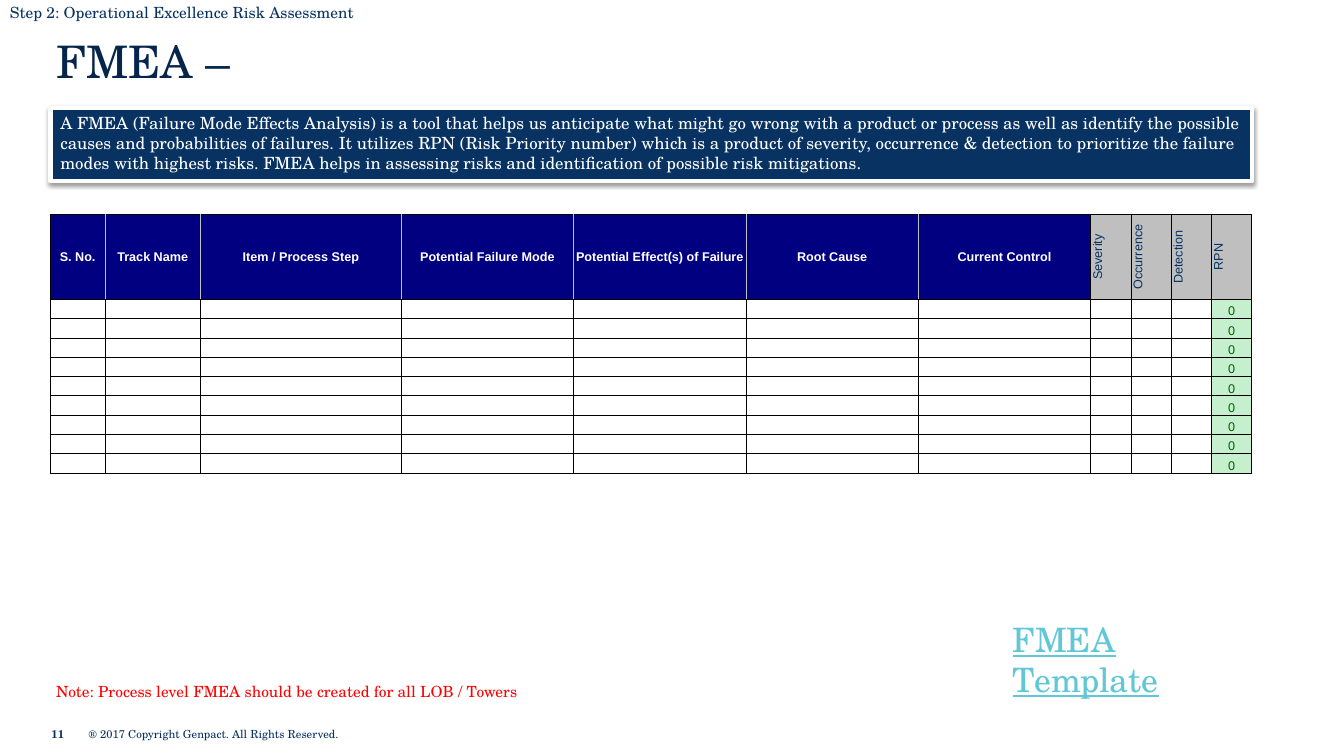
from dataclasses import dataclass

from lxml import etree
from pptx import Presentation
from pptx import util as u
from pptx.dml.color import RGBColor
from pptx.enum import shapes, text
from pptx.oxml import ns, parse_xml


@dataclass(frozen=True)
class Theme:
    serif: str = "TeX Gyre Schola"
    sans: str = "Arial"
    navy: str = "073262"
    title: str = "05254A"
    link: str = "60C7D7"
    alert: str = "FF0000"
    white: str = "FFFFFF"
    black: str = "000000"
    header: str = "000080"
    grey: str = "BFBFBF"
    score_fill: str = "C6EFCE"
    score_text: str = "006100"
    footer_size: int = 8
    table_size: int = 9
    note_size: int = 11
    banner_size: int = 12
    link_size: int = 24
    title_size: int = 32


class SlideBuilder:
    columns, rows = 160, 90

    def __init__(self, presentation, theme):
        self.theme = theme
        self.slide = presentation.slides.add_slide(presentation.slide_layouts[6])
        self.column = presentation.slide_width / self.columns
        self.row = presentation.slide_height / self.rows

    def place(self, left, top, width, height):
        return (round(left * self.column), round(top * self.row),
                round(width * self.column), round(height * self.row))

    def add_words(self, paragraph, words, size, color, font=None, bold=False, underline=False):
        run = paragraph.add_run()
        run.text = words
        run.font.name = font or self.theme.serif
        run.font.size = u.Pt(size)
        run.font.bold = bold
        run.font.underline = underline
        run.font.color.rgb = RGBColor.from_string(color)

    def label(self, box, words, size, color, centered=False, **style):
        frame = self.slide.shapes.add_textbox(*self.place(*box)).text_frame
        frame.word_wrap = True
        if centered:
            frame.vertical_anchor = text.MSO_ANCHOR.MIDDLE
            frame.margin_left = frame.margin_right = frame.margin_top = frame.margin_bottom = 0
        self.add_words(frame.paragraphs[0], words, size, color, **style)

    def banner(self, box, words):
        shape = self.slide.shapes.add_shape(shapes.MSO_SHAPE.RECTANGLE, *self.place(*box))
        shape.shadow.inherit = False
        shape.fill.solid()
        shape.fill.fore_color.rgb = RGBColor.from_string(self.theme.navy)
        shape.line.color.rgb = RGBColor.from_string(self.theme.white)
        shape.line.width = u.Pt(3)
        effects = shape._element.spPr.find(ns.qn("a:effectLst"))
        effects.append(parse_xml(
            f'<a:outerShdw {ns.nsdecls("a")} blurRad="{u.Pt(3.1)}" dist="{u.Pt(1.6)}" '
            f'dir="5400000" rotWithShape="0"><a:srgbClr val="{self.theme.black}">'
            '<a:alpha val="38000"/></a:srgbClr></a:outerShdw>'))
        frame = shape.text_frame
        frame.word_wrap = True
        frame.vertical_anchor = text.MSO_ANCHOR.TOP
        paragraph = frame.paragraphs[0]
        paragraph.alignment = text.PP_ALIGN.LEFT
        self.add_words(paragraph, words, self.theme.banner_size, self.theme.white)

    def table(self, left, top, widths, heights):
        box = self.place(left, top, sum(widths), sum(heights))
        table = self.slide.shapes.add_table(len(heights), len(widths), *box).table
        table.first_row = table.horz_banding = False
        for column, width in zip(table.columns, widths):
            column.width = round(width * self.column)
        for row, height in zip(table.rows, heights):
            row.height = round(height * self.row)
        return table

    def cell(self, cell, fill, words="", color=None, bold=False, anchor=text.MSO_ANCHOR.MIDDLE,
             left=None, right=None, vertical=False):
        theme = self.theme
        cell.margin_left = cell.margin_right = cell.margin_top = cell.margin_bottom = 0
        cell.vertical_anchor = anchor
        cell.fill.solid()
        cell.fill.fore_color.rgb = RGBColor.from_string(fill)
        properties = cell._tc.get_or_add_tcPr()
        if vertical:
            properties.set("vert", "vert270")
        sides = {"lnL": left, "lnR": right, "lnT": None, "lnB": None}
        for index, (side, border) in enumerate(sides.items()):
            properties.insert(index, parse_xml(
                f'<a:{side} {ns.nsdecls("a")} w="{u.Pt(0.5)}"><a:solidFill>'
                f'<a:srgbClr val="{border or theme.black}"/></a:solidFill></a:{side}>'))
        paragraph = cell.text_frame.paragraphs[0]
        paragraph.alignment = text.PP_ALIGN.CENTER
        if words:
            self.add_words(paragraph, words, theme.table_size, color, theme.sans, bold)
        else:
            etree.SubElement(paragraph._p, ns.qn("a:endParaRPr"), sz=str(theme.table_size * 100))


def add_fmea_table(builder):
    theme = builder.theme
    headings = ["S. No.", "Track Name", "Item / Process Step", "Potential Failure Mode",
                "Potential Effect(s) of Failure", "Root Cause", "Current Control"]
    ratings = ["Severity", "Occurrence", "Detection", "RPN"]
    widths = [6.48, 11.4, 23.88] + [20.52] * 4 + [4.8] * len(ratings)
    table = builder.table(6, 25.56, widths, [10.08] + [2.3] * 9)
    last_heading = len(headings) - 1
    for index, heading in enumerate(headings):
        builder.cell(table.cell(0, index), theme.header, heading, theme.white, bold=True,
                     left=theme.grey if index else None,
                     right=theme.grey if index < last_heading else None)
    for index, rating in enumerate(ratings, len(headings)):
        builder.cell(table.cell(0, index), theme.grey, rating, theme.navy, vertical=True)
    for row in range(1, len(table.rows)):
        for index in range(len(widths) - 1):
            builder.cell(table.cell(row, index), theme.white)
        builder.cell(table.cell(row, len(widths) - 1), theme.score_fill, "0", theme.score_text,
                     anchor=text.MSO_ANCHOR.BOTTOM)


def main():
    presentation = Presentation()
    presentation.slide_width = u.Inches(13.33)
    presentation.slide_height = u.Inches(7.5)
    theme = Theme()
    builder = SlideBuilder(presentation, theme)
    builder.label((6.12, 85.92, 4.4, 2.88), "11", theme.footer_size, theme.navy,
                  centered=True, bold=True)
    builder.label((10.56, 85.92, 31, 2.88), "® 2017 Copyright Genpact. All Rights Reserved.",
                  theme.footer_size, theme.navy, centered=True)
    builder.label((119.4, 73.08, 32.4, 6), "FMEA Template", theme.link_size, theme.link,
                  underline=True)
    builder.label((5.52, 3.48, 129.36, 7.68), "FMEA –", theme.title_size, theme.title)
    builder.banner(
        (6, 12.84, 143.04, 8.76),
        "A FMEA (Failure Mode Effects Analysis) is a tool that helps us anticipate what might go "
        "wrong with a product or process as well as identify the possible causes and probabilities "
        "of failures. It utilizes RPN (Risk Priority number) which is a product of severity, "
        "occurrence & detection to prioritize the failure modes with highest risks. FMEA helps in "
        "assessing risks and identification of possible risk mitigations.")
    builder.label((5.52, 80.64, 74.4, 3.48),
                  "Note: Process level FMEA should be created for all LOB / Towers",
                  theme.note_size, theme.alert)
    builder.label((0, -0.24, 65.28, 3.48), "Step 2: Operational Excellence Risk Assessment",
                  theme.note_size, theme.navy)
    add_fmea_table(builder)
    presentation.save("out.pptx")


if __name__ == "__main__":
    main()
